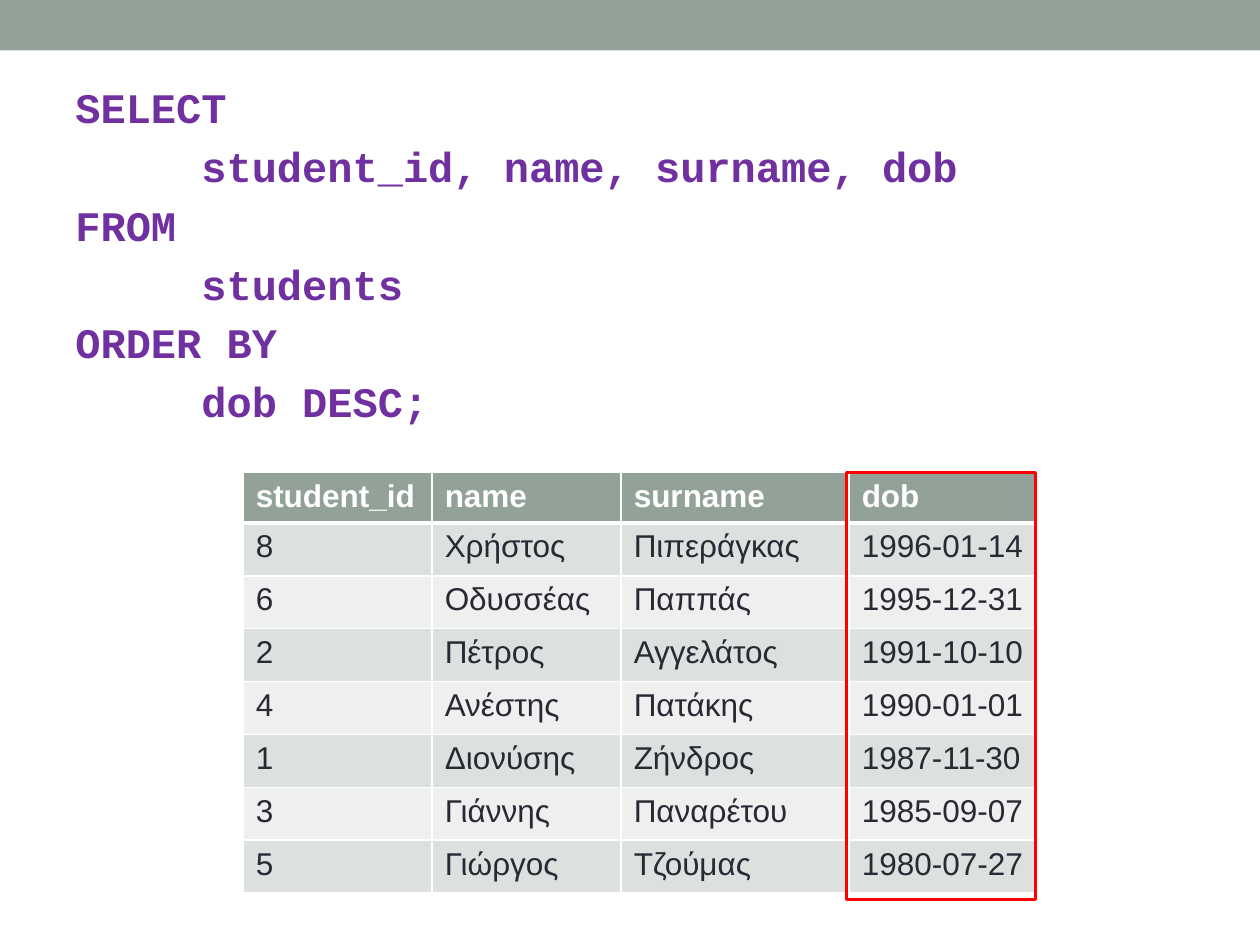
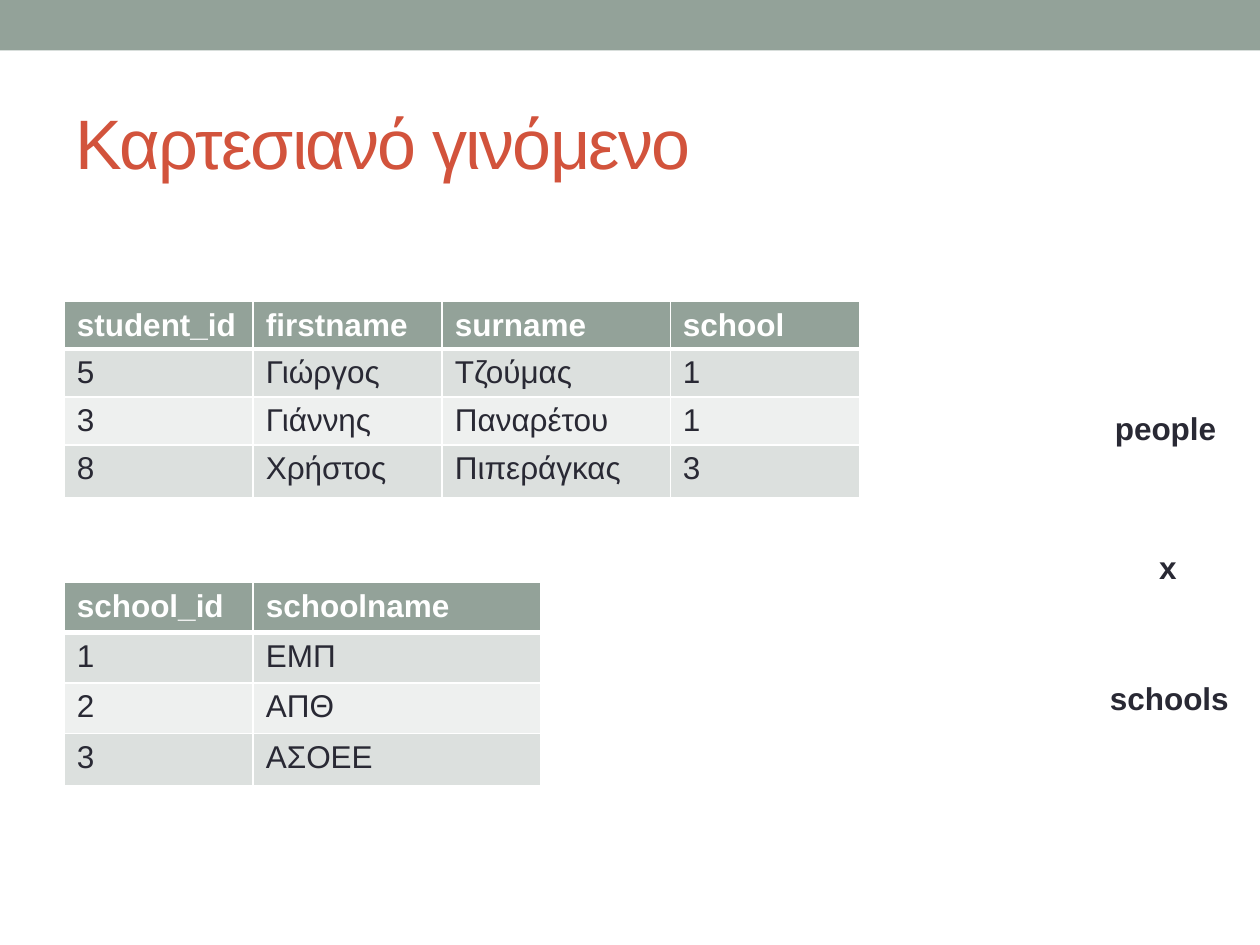
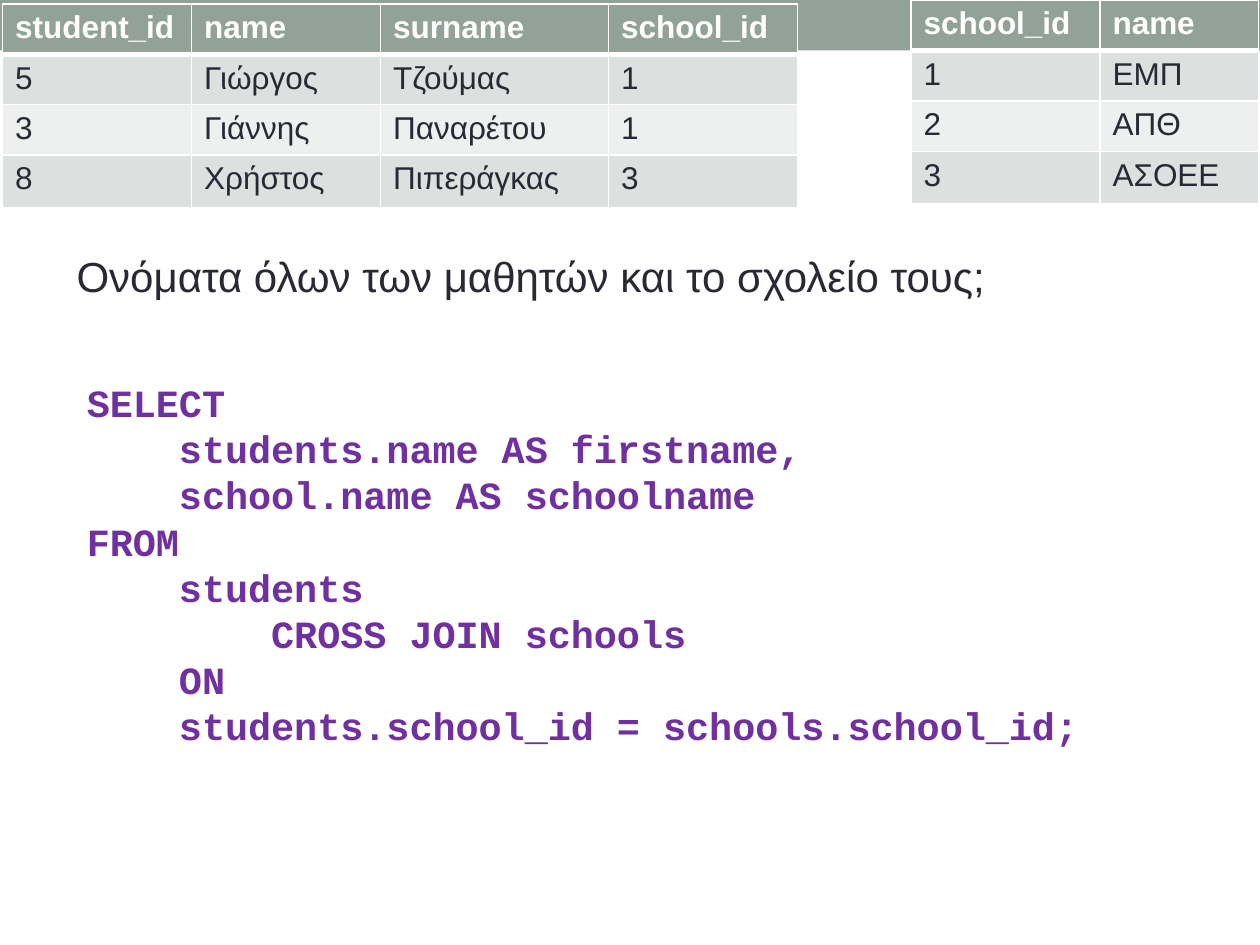
"""Build three slides on SQL ordering and the Cartesian product."""
import pptx
import pptx.dml.color
import pptx.enum.shapes
import pptx.enum.text
import pptx.oxml
import pptx.oxml.ns
import pptx.util
from dataclasses import dataclass

Inches = pptx.util.Inches
Pt = pptx.util.Pt
Anchor = pptx.enum.text.MSO_ANCHOR
Align = pptx.enum.text.PP_ALIGN


@dataclass(frozen=True)
class Theme:
    band: str = "93A299"
    odd_row: str = "DCE0DE"
    even_row: str = "EEF0EF"
    ink: str = "292934"
    white: str = "FFFFFF"
    title: str = "D2533C"
    code: str = "7030A0"
    highlight: str = "FF0000"
    sans: str = "Arial"
    mono: str = "Courier New"
    title_size: int = 40
    body_size: int = 24
    code_size: int = 22
    table_size: int = 18


THEME = Theme()

ORDER_QUERY = [
    "SELECT",
    "\tstudent_id, name, surname, dob",
    "FROM",
    "\tstudents",
    "ORDER BY",
    "\tdob DESC;",
]
ORDERED_STUDENTS = [
    ("student_id", "name", "surname", "dob"),
    ("8", "Χρήστος", "Πιπεράγκας", "1996-01-14"),
    ("6", "Οδυσσέας", "Παππάς", "1995-12-31"),
    ("2", "Πέτρος", "Αγγελάτος", "1991-10-10"),
    ("4", "Ανέστης", "Πατάκης", "1990-01-01"),
    ("1", "Διονύσης", "Ζήνδρος", "1987-11-30"),
    ("3", "Γιάννης", "Παναρέτου", "1985-09-07"),
    ("5", "Γιώργος", "Τζούμας", "1980-07-27"),
]
PRODUCT_TITLE = "Καρτεσιανό γινόμενο"
STUDENTS = [
    ("5", "Γιώργος", "Τζούμας", "1"),
    ("3", "Γιάννης", "Παναρέτου", "1"),
    ("8", "Χρήστος", "Πιπεράγκας", "3"),
]
SCHOOLS = [("1", "ΕΜΠ"), ("2", "ΑΠΘ"), ("3", "ΑΣΟΕΕ")]
PRODUCT_LABELS = [
    ("people", (8.75, 3.2, 1.04, 0.4), Align.LEFT),
    ("schools", (8.71, 5.34, 1.18, 0.4), Align.LEFT),
    ("x", (8.64, 4.3, 1.26, 0.4), Align.CENTER),
]
JOIN_QUESTION = "Ονόματα όλων των μαθητών και το σχολείο τους;"
JOIN_QUERY = [
    "SELECT",
    "    students.name AS firstname,",
    "    school.name AS schoolname",
    "FROM",
    "    students",
    "        CROSS JOIN schools",
    "    ON",
    "    students.school_id = schools.school_id;",
]
STUDENT_COLUMNS = (1.5, 1.5, 1.81, 1.5)
ROW, LAST_ROW = 0.38, 0.42


def color(value):
    return pptx.dml.color.RGBColor.from_string(value)


def write(para, text, size, ink, bold=False, font=THEME.sans):
    span = para.add_run()
    span.text = text
    span.font.name = font
    span.font.size = Pt(size)
    span.font.bold = bold
    span.font.color.rgb = color(ink)
    return span


def add_rectangle(page, bounds, fill=None, line=None, weight=0):
    kind = pptx.enum.shapes.MSO_SHAPE.RECTANGLE
    shape = page.shapes.add_shape(kind, *map(Inches, bounds))
    shape.shadow.inherit = False
    if fill:
        shape.fill.solid()
        shape.fill.fore_color.rgb = color(fill)
    else:
        shape.fill.background()
    if line:
        shape.line.color.rgb = color(line)
        shape.line.width = Pt(weight)
    else:
        shape.line.fill.background()


def add_page(deck, title=None):
    page = deck.slides.add_slide(deck.slide_layouts[5 if title else 6])
    add_rectangle(page, (0, 0, 10, 0.4), fill=THEME.band)
    if title:
        box = page.shapes.title
        box.left, box.top, box.width, box.height = map(Inches, (0.5, 0.58, 9, 1.08))
        box.text_frame.vertical_anchor = Anchor.MIDDLE
        para = box.text_frame.paragraphs[0]
        para.alignment = Align.LEFT
        span = write(para, title, THEME.title_size, THEME.title)
        span.font._element.set("spc", "-100")
    return page


def add_text(page, bounds, lines, size, ink, bold=False, font=THEME.sans,
             align=Align.LEFT, gap=0):
    frame = page.shapes.add_textbox(*map(Inches, bounds)).text_frame
    frame.word_wrap = True
    for index, line in enumerate(lines):
        para = frame.add_paragraph() if index else frame.paragraphs[0]
        para.alignment = align
        if line.startswith("\t"):
            stops = pptx.oxml.parse_xml(
                f'<a:tabLst {pptx.oxml.ns.nsdecls("a")}>'
                f'<a:tab pos="{Inches(1)}" algn="l"/></a:tabLst>')
            para._p.get_or_add_pPr().append(stops)
        if index and gap:
            para.space_before = Pt(gap)
        write(para, line, size, ink, bold, font)


def add_borders(cell, top, bottom):
    properties = cell._tc.get_or_add_tcPr()
    for side, weight in (("L", 1), ("R", 1), ("T", top), ("B", bottom)):
        properties.append(pptx.oxml.parse_xml(
            f'<a:ln{side} {pptx.oxml.ns.nsdecls("a")} w="{Pt(weight)}"><a:solidFill>'
            f'<a:srgbClr val="{THEME.white}"/></a:solidFill></a:ln{side}>'))


def add_grid(page, left, top, widths, rows, heights):
    bounds = (left, top, sum(widths), sum(heights))
    table = page.shapes.add_table(len(rows), len(widths), *map(Inches, bounds)).table
    table.horz_banding = False
    for column, width in zip(table.columns, widths):
        column.width = Inches(width)
    for index, (row, height, values) in enumerate(zip(table.rows, heights, rows)):
        row.height = Inches(height)
        header = index == 0
        fill = THEME.band if header else THEME.odd_row if index % 2 else THEME.even_row
        for cell, value in zip(row.cells, values):
            add_borders(cell, 3 if index == 1 else 1, 3 if header else 1)
            cell.fill.solid()
            cell.fill.fore_color.rgb = color(fill)
            write(cell.text_frame.paragraphs[0], value, THEME.table_size,
                  THEME.white if header else THEME.ink, bold=header)


def build_order_page(deck):
    page = add_page(deck)
    add_text(page, (0.5, 0.6, 9, 2.91), ORDER_QUERY, THEME.body_size, THEME.code,
             bold=True, font=THEME.mono, gap=4.8)
    heights = [ROW] + [LAST_ROW] * (len(ORDERED_STUDENTS) - 1)
    add_grid(page, 1.93, 3.75, STUDENT_COLUMNS, ORDERED_STUDENTS, heights)
    add_rectangle(page, (6.72, 3.75, 1.5, 3.39), line=THEME.highlight, weight=2.08)


def build_product_page(deck):
    page = add_page(deck, PRODUCT_TITLE)
    students = [("student_id", "firstname", "surname", "school")] + STUDENTS
    schools = [("school_id", "schoolname")] + SCHOOLS
    add_grid(page, 0.51, 2.39, STUDENT_COLUMNS, students, [ROW] * 3 + [LAST_ROW])
    add_grid(page, 0.51, 4.62, (1.5, 2.28), schools, [0.4] * 3 + [LAST_ROW])
    for label, bounds, align in PRODUCT_LABELS:
        add_text(page, bounds, [label], THEME.table_size, THEME.ink, bold=True, align=align)


def build_join_page(deck):
    page = add_page(deck)
    add_text(page, (0.51, 1.94, 9, 0.5), [JOIN_QUESTION], THEME.body_size, THEME.ink)
    students = [("student_id", "name", "surname", "school_id")] + STUDENTS
    schools = [("school_id", "name")] + SCHOOLS
    heights = [ROW] * 3 + [LAST_ROW]
    add_grid(page, 0.02, 0.03, STUDENT_COLUMNS, students, heights)
    add_grid(page, 7.23, 0, (1.5, 1.26), schools, heights)
    add_text(page, (0.59, 2.96, 9.72, 3.8), JOIN_QUERY, THEME.code_size, THEME.code,
             bold=True, font=THEME.mono)


def main():
    deck = pptx.Presentation()
    deck.slide_width, deck.slide_height = Inches(10), Inches(7.5)
    build_order_page(deck)
    build_product_page(deck)
    build_join_page(deck)
    deck.save("out.pptx")


if __name__ == "__main__":
    main()
